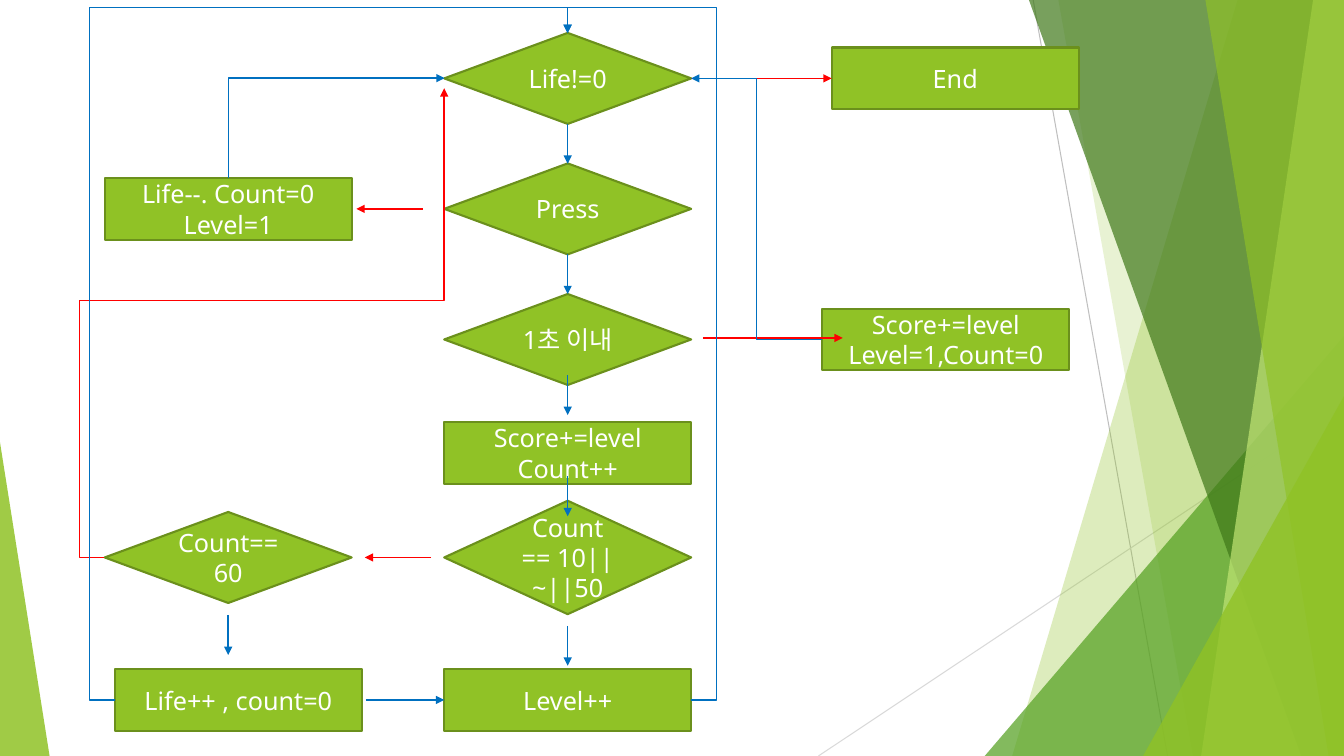
from pptx import Presentation
from pptx import util as u
from pptx.dml import color
from pptx.enum import shapes, text
from pptx.oxml import ns, xmlchemy
from lxml import etree

Pt = u.Pt
KIND = shapes.MSO_SHAPE
LINK = shapes.MSO_CONNECTOR
WIDE, HIGH = 960, 540
GREEN, EDGE, BLUE, RED = "90C226", "6B901C", "0070C0", "FF0000"
FRAME = dict(word_wrap=True, vertical_anchor=text.MSO_ANCHOR.MIDDLE)
FONT = dict(name="Noto Sans", size=Pt(18))
MID, LEFT, SIDE = 405.5, 163, 176.4
BOX, GEM = (KIND.RECTANGLE, 44), (KIND.DIAMOND, 65)

RAYS = [((738, 0), (834, HIGH), "BFBFBF"), ((WIDE, 290), (584.6, HIGH), "D9D9D9")]
FACETS = [
    ("band", (884, 723), GREEN, 30),
    ("band", (756, 852), GREEN, 20),
    ("peak", (703.4, 240, 256.6, 1), "54A021", 72),
    ("band", (735, 929.5), "3F7819", 70),
    ("band", (938, 858), "C0E474", 70),
    ("band", (861, 949), GREEN, 65),
    ("peak", (816.5, 283, 143.5, 1), GREEN, 80),
    ("peak", (0, 316, 35.4, 0), GREEN, 85),
]
NODES = [
    (BOX, MID, 323.6, "Score+=level\nCount++"),
    (GEM, MID, 56, "Life!=0"),
    (GEM, MID, 149.2, "Press"),
    (GEM, MID, 242.5, "1초 이내"),
    ((KIND.DIAMOND, 81), MID, 398.2, "Count == 10||~||50"),
    (BOX, MID, 500, "Level++"),
    (GEM, LEFT, 398.2, "Count==60"),
    (BOX, 170.2, 500, "Life++ , count=0"),
    (BOX, LEFT, 149.2, "Life--. Count=0\nLevel=1"),
    (BOX, 682.3, 56, "End"),
    (BOX, 675.6, 242.5, "Score+=level\nLevel=1,Count=0"),
]
DROPS = [(MID, 88.5), (MID, 181.6), (MID, 268), (MID, 340.3), (MID, 447), (LEFT, 439.3)]
FLOWS = [
    (308, 260.6, 398.2, RED),
    (302, 254.6, 149.2, RED),
    (493.7, 594, 56, RED),
    (502, 602, 241.4, RED),
    (261.4, 317.3, 500, BLUE),
]
BENDS = [
    (4, (74.6, 63, 242.7, 335.2), 180, "h", (-0.074, 0.548), RED),
    (4, (MID, 23.6, 88.2, 476.4), 0, "hv", (-0.204, 1.038), BLUE),
    (4, (82, 23.6, 323.5, 476.4), 180, "h", (-0.056, 1.038), BLUE),
    (2, (204.6, 14.3, 71.5, 154.6), 90, "hv", (), BLUE),
    (3, (493.7, 56, 93.7, 186.5), 180, "", (0.5,), BLUE),
]


def put(obj, vals):
    for key, val in vals.items():
        setattr(obj, key, val)


def tint(fill, code):
    fill.solid()
    fill.fore_color.rgb = color.RGBColor.from_string(code)


def sub(root, tag, **vals):
    return etree.SubElement(root, ns.qn(tag), vals)


def glaze(shape, code, part):
    shape.shadow.inherit = False
    tint(shape.fill, code)
    shape.line.fill.background()
    hue = shape.fill._xPr.find(".//" + ns.qn("a:srgbClr"))
    sub(hue, "a:alpha", val=str(part * 1000))


def band(page, spot):
    top, base = spot
    pen = page.build_freeform(Pt(top), 0)
    rest = [(WIDE, 0), (WIDE, HIGH), (base, HIGH)]
    pen.add_line_segments([(Pt(x), Pt(y)) for x, y in rest])
    return pen.convert_to_shape()


def peak(page, spot):
    x, y, wide, tip = spot
    shape = page.add_shape(KIND.ISOSCELES_TRIANGLE, Pt(x), Pt(y), Pt(wide), Pt(HIGH - y))
    shape.adjustments[0] = tip
    return shape


def node(page, form, x, y, words):
    kind, high = form
    shape = page.add_shape(kind, Pt(x - SIDE / 2), Pt(y - high / 2), Pt(SIDE), Pt(high))
    shape.shadow.inherit = False
    tint(shape.fill, GREEN)
    tint(shape.line.fill, EDGE)
    shape.line.width = Pt(1.5)
    frame = shape.text_frame
    put(frame, FRAME)
    frame.text = words
    for para in frame.paragraphs:
        para.alignment = text.PP_ALIGN.CENTER
        put(para.font, FONT)
        tint(para.font.fill, "FFFFFF")


def link(page, start, end, code, kind=LINK.STRAIGHT, width=1, head=True):
    wire = page.add_connector(kind, *[Pt(v) for v in (*start, *end)])
    tint(wire.line.fill, code)
    wire.line.width = Pt(width)
    if head:
        sub(wire.line._ln, "a:tailEnd", type="triangle")
    sub(wire._element.spPr, "a:effectLst")
    return wire


def bend(page, turns, box, spin, flips, adj, code):
    x, y, wide, high = box
    wire = link(page, (x, y), (x + wide, y + high), code, LINK.ELBOW)
    props = wire._element.spPr
    form = props.find(ns.qn("a:xfrm"))
    form.set("rot", str(spin * 60000))
    for axis in flips:
        form.set("flip" + axis.upper(), "1")
    geom = props.find(ns.qn("a:prstGeom"))
    geom.set("prst", f"bentConnector{turns}")
    for old in list(geom):
        geom.remove(old)
    guide = sub(geom, "a:avLst")
    for num, val in enumerate(adj, 1):
        sub(guide, "a:gd", name=f"adj{num}", fmla=f"val {round(val * 100000)}")


def main():
    deck = Presentation()
    put(deck, dict(slide_width=Pt(WIDE), slide_height=Pt(HIGH)))
    page = deck.slides.add_slide(deck.slide_layouts[6]).shapes
    for start, end, code in RAYS:
        link(page, start, end, code, width=0.75, head=False)
    draw = dict(band=band, peak=peak)
    for kind, spot, code, part in FACETS:
        glaze(draw[kind](page, spot), code, part)
    for item in NODES:
        node(page, *item)
    for x, y in DROPS:
        link(page, (x, y), (x, y + 28.5), BLUE)
    for x, end, y, code in FLOWS:
        link(page, (x, y), (end, y), code)
    for item in BENDS:
        bend(page, *item)
    deck.save("out.pptx")


main()
